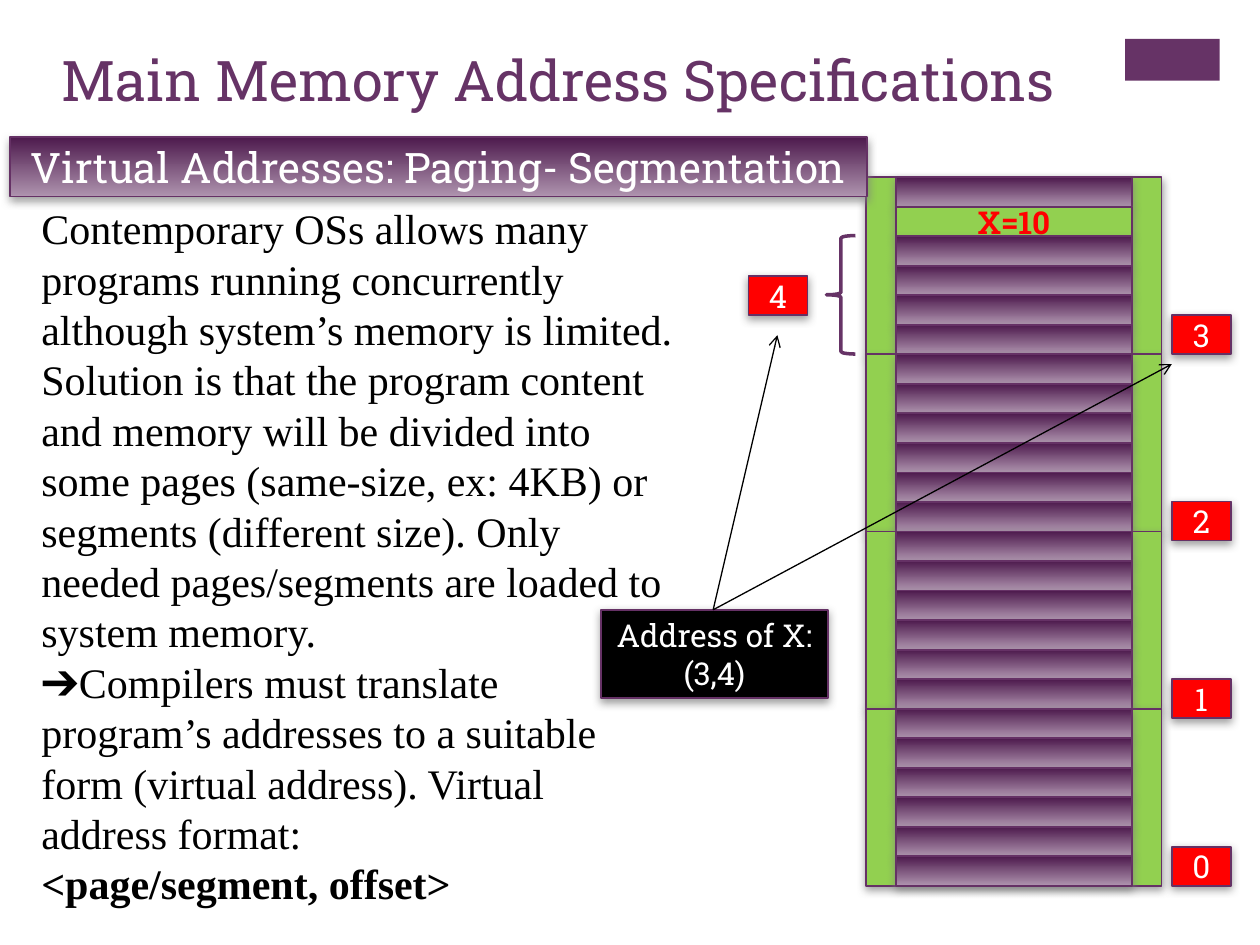
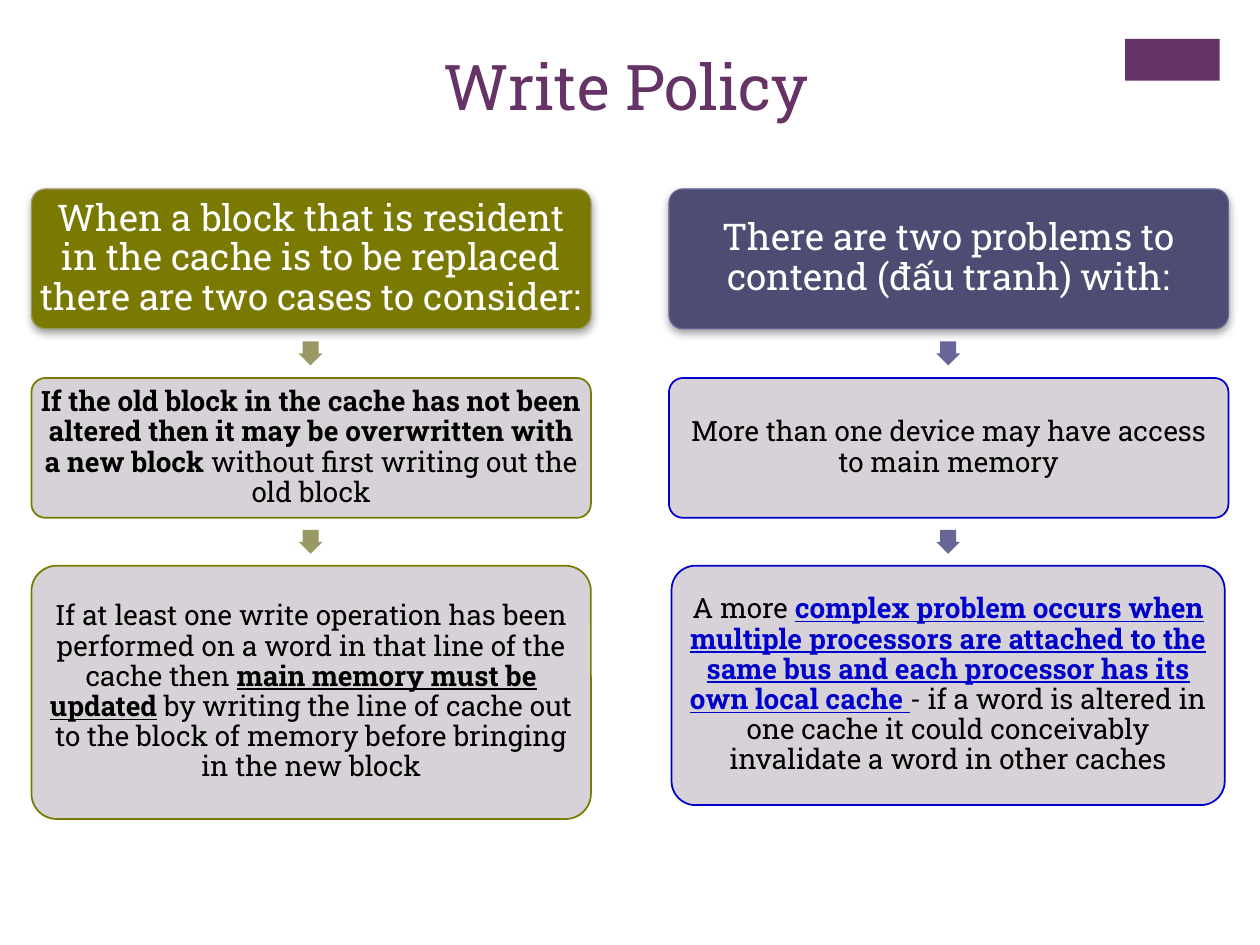
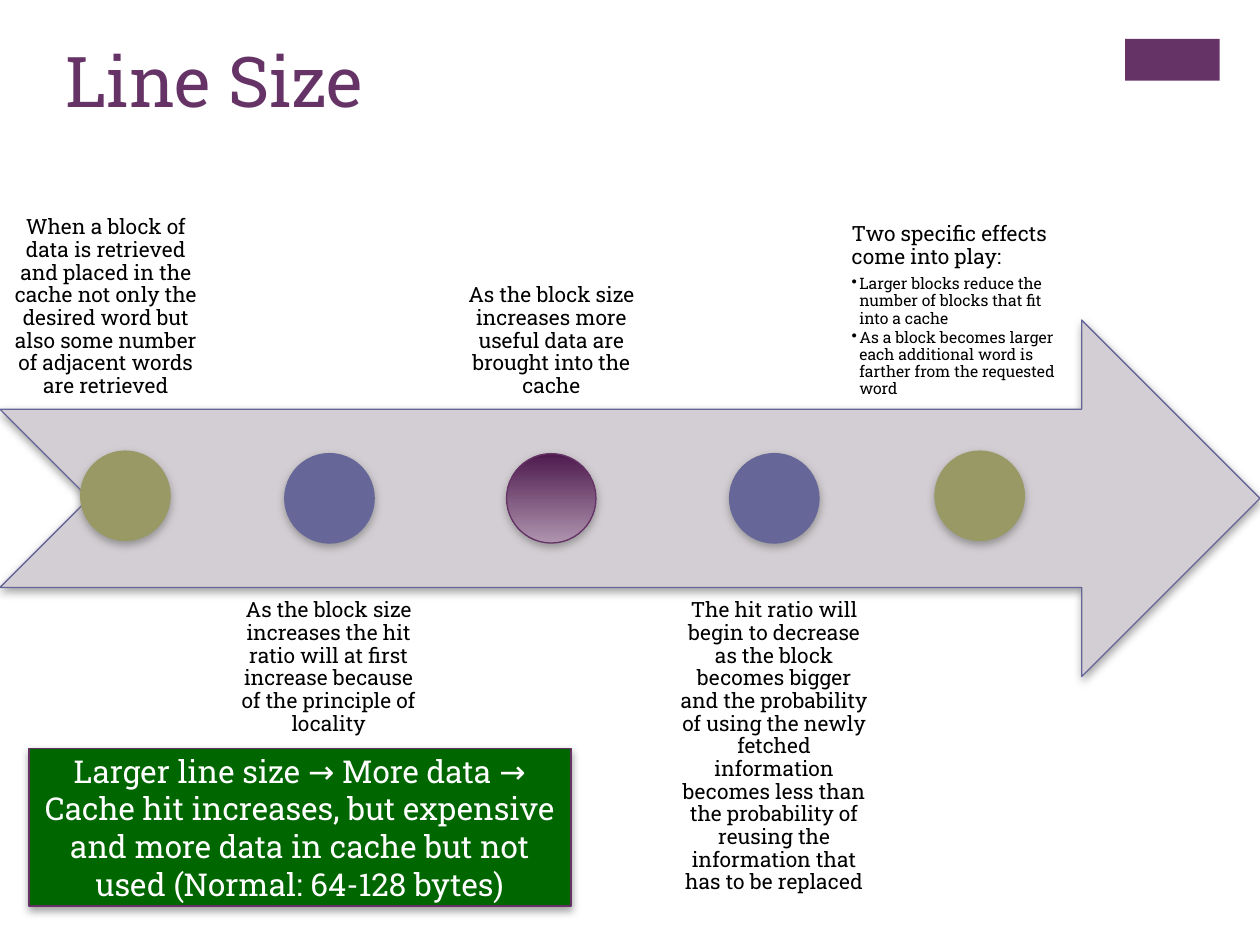
from dataclasses import dataclass

from lxml.etree import SubElement
from pptx import Presentation
from pptx.dml.color import RGBColor
from pptx.enum.shapes import MSO_CONNECTOR, MSO_SHAPE
from pptx.enum.text import MSO_ANCHOR, MSO_AUTO_SIZE, PP_ALIGN
from pptx.oxml.ns import qn
from pptx.util import Inches, Pt


@dataclass(frozen=True)
class Theme:
    heading: str = "Roboto Slab"
    serif: str = "Times New Roman"
    purple: str = "663366"
    outline: str = "653165"
    gradient: tuple = ("4D1A4D", "AF94AF")
    green: str = "92D050"
    forest: str = "006600"
    red: str = "FF0000"
    black: str = "000000"
    white: str = "FFFFFF"
    olive: str = "999966"
    dark_olive: str = "7A7901"
    slate: str = "666699"
    dark_slate: str = "4D4D73"
    blue: str = "0000CC"
    pale: str = "D3CED3"
    shadow: str = "808080"
    large: float = 24
    lead: float = 21
    label: float = 18
    body: float = 16
    note: float = 12
    small: float = 9


@dataclass(frozen=True)
class Run:
    text: str
    bold: bool = False
    underline: bool = False
    color: str = ""


class Deck:
    COLS, ROWS = 100, 75

    def __init__(self, theme):
        self.theme = theme
        self.prs = Presentation()
        self.prs.slide_width, self.prs.slide_height = Inches(10), Inches(7.5)
        self.slide = None

    def place(self, x, y, w, h):
        col = self.prs.slide_width / self.COLS
        row = self.prs.slide_height / self.ROWS
        return [round(v) for v in (x * col, y * row, w * col, h * row)]

    def new_slide(self, title, at, size):
        t = self.theme
        self.slide = self.prs.slides.add_slide(self.prs.slide_layouts[5])
        self.shape(MSO_SHAPE.RECTANGLE, (89.3, 3.1, 7.5, 3.3), t.purple, shadow=False)
        sp = self.slide.shapes.title
        sp.left, sp.top, sp.width, sp.height = self.place(*at)
        self.fill_text(sp, [[Run(title)]], size, t.purple, align=PP_ALIGN.LEFT)

    def shape(self, kind, at, fill=None, line=None, weight=1, shadow=True, adj=(), alpha=None):
        sp = self.slide.shapes.add_shape(kind, *self.place(*at))
        for i, value in enumerate(adj):
            sp.adjustments[i] = value
        if fill is None:
            sp.fill.background()
        elif isinstance(fill, tuple):
            sp.fill.gradient()
            sp.fill.gradient_angle = 270
            for stop, color in zip(sp.fill.gradient_stops, fill):
                stop.color.rgb = RGBColor.from_string(color)
        else:
            sp.fill.solid()
            sp.fill.fore_color.rgb = RGBColor.from_string(fill)
        if alpha:
            color = next(sp.element.spPr.iter(qn("a:srgbClr")))
            SubElement(color, qn("a:alpha"), val=str(alpha * 1000))
        if line:
            sp.line.color.rgb = RGBColor.from_string(line)
            sp.line.width = Pt(weight)
        else:
            sp.line.fill.background()
        sp.shadow.inherit = False
        if shadow:
            self.cast_shadow(sp)
        return sp

    def cast_shadow(self, sp):
        effects = sp.element.spPr.find(qn("a:effectLst"))
        outer = SubElement(effects, qn("a:outerShdw"), blurRad=str(Pt(5)), dist=str(Pt(2)),
                           dir="5400000", rotWithShape="0")
        color = SubElement(outer, qn("a:srgbClr"), val=self.theme.shadow)
        SubElement(color, qn("a:alpha"), val="75000")

    def fill_text(self, sp, paragraphs, size, color, font=None, align=PP_ALIGN.CENTER,
                  anchor=MSO_ANCHOR.TOP, inset=None, spacing=None):
        tf = sp.text_frame
        tf.word_wrap = True
        tf.auto_size = MSO_AUTO_SIZE.NONE
        tf.vertical_anchor = anchor
        if inset is not None:
            tf.margin_left = tf.margin_right = tf.margin_top = tf.margin_bottom = Inches(inset)
        for i, runs in enumerate(paragraphs):
            p = tf.add_paragraph() if i else tf.paragraphs[0]
            p.alignment = align
            if spacing:
                p.line_spacing = spacing
                p.space_after = Pt(size * 0.35)
            for run in runs:
                r = p.add_run()
                r.text = run.text
                r.font.name = font or self.theme.heading
                r.font.size = Pt(size)
                r.font.bold = run.bold
                r.font.underline = run.underline
                r.font.color.rgb = RGBColor.from_string(run.color or color)
        return tf

    def text(self, at, paragraphs, size, **style):
        sp = self.slide.shapes.add_textbox(*self.place(*at))
        return self.fill_text(sp, paragraphs, size, self.theme.black, **style)

    def label(self, at, lines, fill, size=None, color=None, bold=False):
        t = self.theme
        sp = self.shape(MSO_SHAPE.RECTANGLE, at, fill, t.outline)
        self.fill_text(sp, [[Run(line, bold)] for line in lines], size or t.label,
                       color or t.white, anchor=MSO_ANCHOR.MIDDLE)

    def bullets(self, tf, items, size):
        for item in items:
            p = tf.add_paragraph()
            p.level = 1
            p.line_spacing = 0.9
            p.space_after = Pt(size * 0.15)
            p.alignment = PP_ALIGN.LEFT
            r = p.add_run()
            r.text = item
            r.font.name = self.theme.heading
            r.font.size = Pt(size)
            r.font.color.rgb = RGBColor.from_string(self.theme.black)
            pPr = p._p.get_or_add_pPr()
            pPr.set("marL", str(Inches(0.06)))
            pPr.set("indent", str(-Inches(0.06)))
            SubElement(pPr, qn("a:buChar"), char="•")

    def arrow(self, start, end):
        x1, y1, x2, y2 = self.place(*start, *end)
        cx = self.slide.shapes.add_connector(MSO_CONNECTOR.STRAIGHT, x1, y1, x2, y2)
        cx.line.color.rgb = RGBColor.from_string(self.theme.black)
        cx.line.width = Pt(0.75)
        spPr = cx.element.spPr
        SubElement(spPr.find(qn("a:ln")), qn("a:tailEnd"), type="arrow")
        SubElement(spPr, qn("a:effectLst"))


def memory_slide(deck):
    t = deck.theme
    deck.new_slide("Main Memory Address Specifications", (3.9, 3.1, 82.6, 6.3), 32)
    deck.text((2.3, 15.6, 52.3, 57.6), [
        [Run("Contemporary OSs allows many programs running concurrently although system’s "
             "memory is limited. Solution is that the program content and memory will be "
             "divided into some pages (same-size, ex: 4KB) or segments (different size). "
             "Only needed pages/segments are loaded to system memory.")],
        [Run("➔", bold=True),
         Run("Compilers must translate program’s addresses to a suitable form "
             "(virtual address). Virtual address format:")],
        [Run("<page/segment, offset>", bold=True)],
    ], t.large, font=t.serif, align=PP_ALIGN.LEFT)

    top, bottom, pages, cells = 14.06, 70.31, 4, 6
    page_h = (bottom - top) / pages
    cell_h = page_h / cells
    for page in range(pages):
        page_y = top + page * page_h
        deck.shape(MSO_SHAPE.RECTANGLE, (68.75, page_y, 23.44, page_h), t.green, t.outline)
        for cell in range(cells):
            at = (71.1, page_y + cell * cell_h, 18.75, cell_h)
            if (page, cell) == (0, 1):
                deck.label(at, ["X=10"], t.green, color=t.red, bold=True)
            else:
                deck.shape(MSO_SHAPE.RECTANGLE, at, t.gradient, t.outline)

    for number, y in enumerate((67.2, 53.9, 39.8, 25)):
        deck.label((93, y, 4.7, 3.1), [str(number)], t.red)
    deck.shape(MSO_SHAPE.LEFT_BRACE, (65.6, 18.7, 2.3, 9.4), line=t.purple, weight=2, shadow=False)
    deck.label((59.4, 21.9, 4.7, 3.1), ["4"], t.red)
    deck.label((47.7, 48.4, 18, 7), ["Address of X:", "(3,4)"], t.black)
    for end in ((93, 28.9), (61.7, 26.6)):
        deck.arrow((56.6, 48.4), end)
    deck.label((0.8, 10.9, 68, 4.7), ["Virtual Addresses: Paging- Segmentation"],
               t.gradient, t.large)


def policy_slide(deck):
    t = deck.theme
    deck.new_slide("Write Policy", (34.2, 3.3, 32.6, 12.2), 36)
    columns = [
        (2.5, (2.5, 44.9, 44.4, 20.1), t.dark_olive, t.olive, t.dark_olive, [
            [Run("When a block that is resident in the cache is to be replaced there are "
                 "two cases to consider:")],
            [Run("If the old block in the cache has not been altered then it may be "
                 "overwritten with a new block", bold=True),
             Run(" without first writing out the old block")],
            [Run("If at least one write operation has been performed on a word in that "
                 "line of the cache then "),
             Run("main memory must be updated", bold=True, underline=True),
             Run(" by writing the line of cache out to the block of memory before "
                 "bringing in the new block")],
        ]),
        (53.1, (53.3, 44.9, 43.9, 19), t.dark_slate, t.slate, t.blue, [
            [Run("There are two problems to contend (đấu tranh) with:")],
            [Run("More than one device may have access to main memory")],
            [Run("A more "),
             Run("complex problem occurs when multiple processors are attached to the same "
                 "bus and each processor has its own local cache ",
                 bold=True, underline=True, color=t.blue),
             Run("- if a word is altered in one cache it could conceivably invalidate "
                 "a word in other caches")],
        ]),
    ]
    for x, last, head_fill, accent, border, texts in columns:
        boxes = ((x, 15, 44.4, 11.1), (x, 30, 44.4, 11.1), last)
        for i, (at, runs) in enumerate(zip(boxes, texts)):
            if i == 0:
                sp = deck.shape(MSO_SHAPE.ROUNDED_RECTANGLE, at, head_fill, accent, 0.75,
                                adj=(0.1,))
                size, color, inset = t.lead, t.white, 0.03
            else:
                sp = deck.shape(MSO_SHAPE.ROUNDED_RECTANGLE, at, t.pale, border,
                                shadow=False, adj=(0.1,), alpha=90)
                size, color, inset = t.body, t.black, 0.02
                link = deck.shape(MSO_SHAPE.RIGHT_ARROW, (x + 21.2, 12.15 + 14.95 * i, 1.9, 1.9),
                                  accent, shadow=False, adj=(0.67, 0.5))
                link.rotation = 90
            deck.fill_text(sp, [runs], size, color, anchor=MSO_ANCHOR.MIDDLE,
                           inset=inset, spacing=0.9)


def line_size_slide(deck):
    t = deck.theme
    deck.new_slide("Line Size", (4.2, 2.5, 30.8, 15), 40)
    deck.shape(MSO_SHAPE.NOTCHED_RIGHT_ARROW, (0, 25.4, 100, 28.3), t.pale, t.slate, 0.75)
    steps = [
        (6.4, 35.8, t.olive, t.olive, 16.8,
         "When a block of data is retrieved and placed in the cache not only the desired "
         "word but also some number of adjacent words are retrieved"),
        (22.6, 36, t.slate, t.slate, 16.8,
         "As the block size increases the hit ratio will at first increase because of the "
         "principle of locality"),
        (40.2, 36, t.gradient, t.purple, 16.8,
         "As the block size increases more useful data are brought into the cache"),
        (57.9, 36, t.slate, t.slate, 16.8,
         "The hit ratio will begin to decrease as the block becomes bigger and the "
         "probability of using the newly fetched information becomes less than the "
         "probability of reusing the information that has to be replaced"),
        (74.2, 35.8, t.olive, t.olive, 19.3, "Two specific effects come into play:"),
    ]
    for i, (dot_x, dot_y, fill, line, width, words) in enumerate(steps):
        above, last = i % 2 == 0, i == len(steps) - 1
        tf = deck.text((66.7 if last else 17.68 * i, 4.2 if above else 46.7, width, 28.3),
                       [[Run(words)]], t.note, inset=0.09, spacing=0.9,
                       align=PP_ALIGN.LEFT if last else PP_ALIGN.CENTER,
                       anchor=MSO_ANCHOR.BOTTOM if above else MSO_ANCHOR.TOP)
        deck.shape(MSO_SHAPE.OVAL, (dot_x, dot_y, 7.1, 7.1), fill, line, 0.75)
    deck.bullets(tf, [
        "Larger blocks reduce the number of blocks that fit into a cache",
        "As a block becomes larger each additional word is farther from the requested word",
    ], t.small)
    deck.label((2.3, 59.4, 43, 12.5),
               ["Larger line size → More data → Cache hit increases, but expensive and more "
                "data in cache but not used (Normal: 64-128 bytes)"], t.forest)


def main():
    deck = Deck(Theme())
    memory_slide(deck)
    policy_slide(deck)
    line_size_slide(deck)
    deck.prs.save("out.pptx")


if __name__ == "__main__":
    main()
